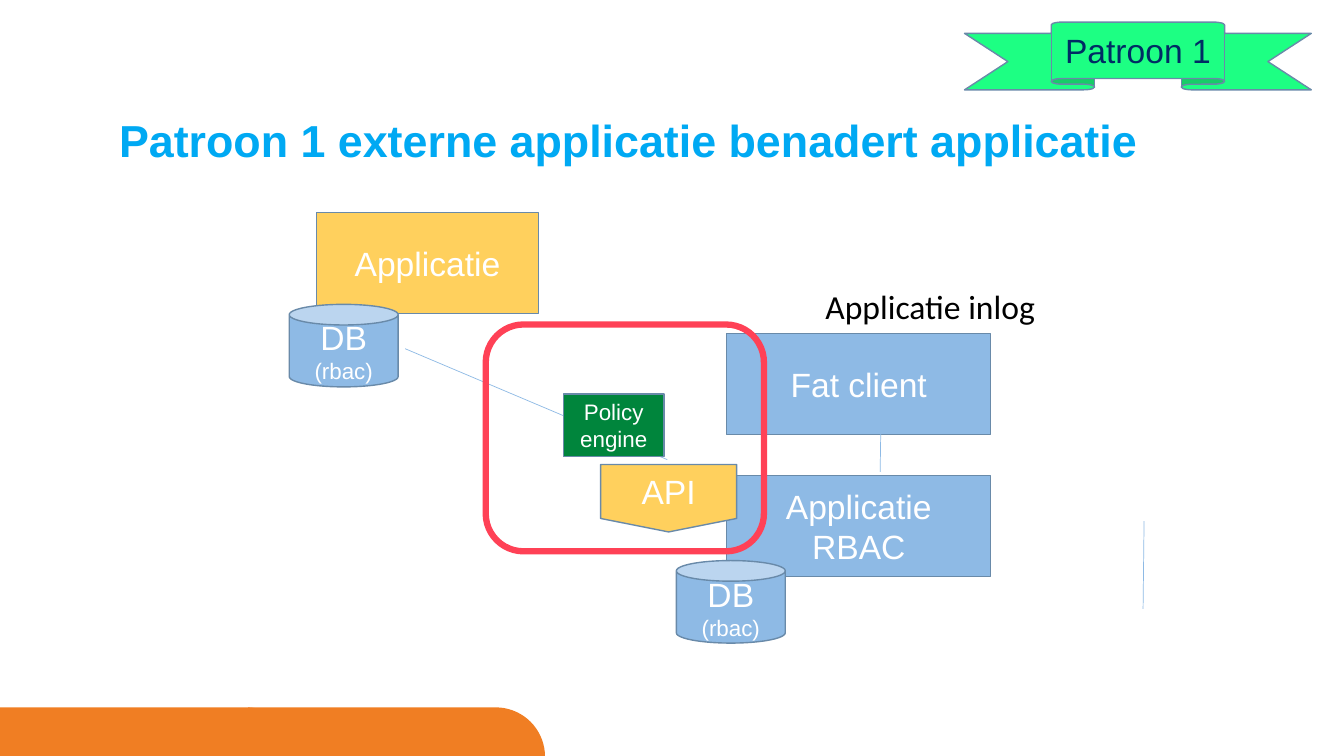
import math

from lxml import etree
from pptx import Presentation
from pptx.dml.color import RGBColor
from pptx.enum import shapes, text
from pptx.oxml import ns
from pptx.util import Pt

COLORS = {
    "orange": "F07E23", "title": "00A9F3", "blue": "8EBAE5", "yellow": "FFD05D",
    "outline": "698AA9", "mint": "1DFF83", "navy": "002C64", "green": "00853C",
    "red": "FF4156", "white": "FFFFFF", "black": "000000",
}
KIND = shapes.MSO_SHAPE


def rgb(name):
    return RGBColor.from_string(COLORS[name])


def write(frame, wording, sizes, color, font="Arial", align=None, bold=None):
    """Fill a frame with one paragraph per line, each with its own size."""
    frame.word_wrap = True
    frame.text = wording
    for paragraph, size in zip(frame.paragraphs, sizes):
        paragraph.alignment = align
        for run in paragraph.runs:
            run.font.size, run.font.name, run.font.bold = Pt(size), font, bold
            run.font.color.rgb = rgb(color)


def add_block(slide, kind, box, fill, wording, sizes=(24, 24), color="white"):
    block = slide.shapes.add_shape(kind, *map(Pt, box))
    block.shadow.inherit = False
    block.fill.solid()
    block.fill.fore_color.rgb = rgb(fill)
    block.line.color.rgb = rgb("outline")
    block.line.width = Pt(1)
    block.text_frame.vertical_anchor = text.MSO_ANCHOR.MIDDLE
    write(block.text_frame, wording, sizes, color, align=text.PP_ALIGN.CENTER)


def add_database(slide, left, top):
    add_block(slide, KIND.CAN, (left, top, 77.8, 59), "blue", "DB\n(rbac)", (24, 16))


def add_link(slide, *ends):
    link = slide.shapes.add_connector(shapes.MSO_CONNECTOR.STRAIGHT, *map(Pt, ends))
    link.line.color.rgb = rgb("blue")
    link.line.width = Pt(0.5)
    etree.SubElement(link._element.spPr, ns.qn("a:effectLst"))


def add_footer(slide, left, top, width, height):
    """Two overlapping tabs, each with a quarter circle at its top right."""
    tab_width = 212
    for tab_left in (left, left + width - tab_width):
        center = tab_left + tab_width - height
        angles = [math.radians(90 - 5 * step) for step in range(19)]
        curve = [(center + height * math.cos(a), top + height * (1 - math.sin(a)))
                 for a in angles]
        outline = [(tab_left, top), *curve, (tab_left, top + height)]
        points = [(Pt(x), Pt(y)) for x, y in outline]
        builder = slide.shapes.build_freeform(*points[0], scale=1.0)
        builder.add_line_segments(points[1:], close=True)
        tab = builder.convert_to_shape()
        tab.shadow.inherit = False
        tab.fill.solid()
        tab.fill.fore_color.rgb = rgb("orange")
        tab.line.fill.background()


def add_title(slide, *box):
    frame = slide.shapes.add_textbox(*map(Pt, box)).text_frame
    frame.margin_left = frame.margin_right = frame.margin_top = frame.margin_bottom = 0
    write(frame, "Patroon 1 externe applicatie benadert applicatie", [32], "title", bold=True)
    frame.paragraphs[0].line_spacing = 0.9


def add_external_application(slide, left, top, width, height):
    add_block(slide, KIND.RECTANGLE, (left + 19.5, top, width - 19.5, 72),
              "yellow", "Applicatie")
    add_database(slide, left, top + height - 59)


def add_internal_application(slide, left, top, width, height):
    layer_left, layer_width = left + 36, 188.6
    client_top, server_top = top + 37.4, top + 138.9
    add_block(slide, KIND.RECTANGLE, (layer_left, server_top, layer_width, 72),
              "blue", "Applicatie\nRBAC")
    add_block(slide, KIND.RECTANGLE, (layer_left, client_top, layer_width, 72),
              "blue", "Fat client")
    add_link(slide, left + 145.6, server_top - 2.8, left + 146.1, client_top + 66.3)
    add_database(slide, left, top + height - 59)
    login = slide.shapes.add_textbox(*map(Pt, (left + 99.4, top, width - 99.4, 36.7)))
    write(login.text_frame, "Applicatie inlog", [24], "black", "Calibri")


def add_access_zone(slide, left, top, width, height):
    add_link(slide, left - 57.6, top + 17.3, left + 129.6, top + 96.5)
    add_block(slide, KIND.FLOWCHART_OFFPAGE_CONNECTOR, (left + 82, top + 100, 97.2, 48.2),
              "yellow", "API")
    add_block(slide, KIND.RECTANGLE, (left + 55.4, top + 49.7, 72, 44.6),
              "green", "Policy\nengine", (16, 16))
    zone = slide.shapes.add_shape(KIND.ROUNDED_RECTANGLE, *map(Pt, (left, top, width, height)))
    zone.shadow.inherit = False
    zone.fill.background()
    zone.line.color.rgb = rgb("red")
    zone.line.width = Pt(4.5)


def main():
    deck = Presentation()
    deck.slide_width, deck.slide_height = Pt(960), Pt(540)
    slide = deck.slides.add_slide(deck.slide_layouts[6])
    add_footer(slide, -0.7, 505.3, 390, 35.2)
    add_title(slide, 85, 85, 838, 57)
    add_external_application(slide, 206.6, 151.9, 178, 124.5)
    add_internal_application(slide, 483.1, 200.9, 278, 258.5)
    add_link(slide, 816.5, 434.9, 817.2, 372.2)
    add_block(slide, KIND.UP_RIBBON, (689, 15.8, 247.7, 48.4), "mint", "Patroon 1", color="navy")
    add_access_zone(slide, 347, 231.8, 198.7, 162)
    deck.save("out.pptx")


if __name__ == "__main__":
    main()
